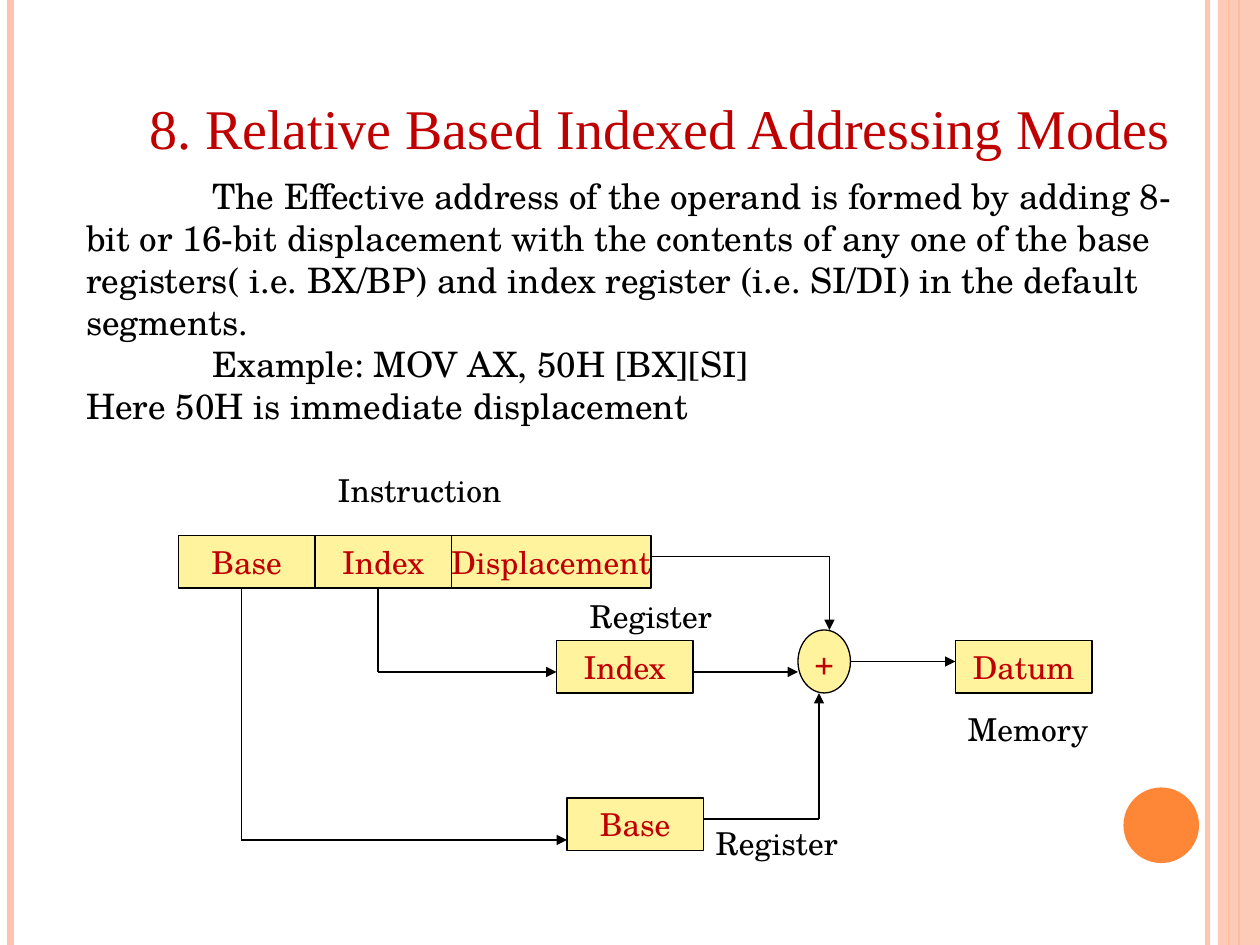
from dataclasses import dataclass
from typing import Optional

from lxml.etree import SubElement
from pptx import Presentation
from pptx.dml.color import RGBColor
from pptx.enum.shapes import MSO_CONNECTOR, MSO_SHAPE
from pptx.enum.text import MSO_ANCHOR, MSO_AUTO_SIZE, PP_ALIGN
from pptx.oxml.ns import qn
from pptx.util import Pt

SERIF = "Times New Roman"
BODY = "TeX Gyre Schola"
BLACK, RED, YELLOW = "000000", "C00000", "FFF39D"
PEACH, ORANGE = "FEC3AE", "FE8637"
BOX_W, BOX_H = 78, 30


@dataclass
class Node:
    text: str
    x: float
    y: float
    w: float = BOX_W
    h: float = BOX_H
    kind: MSO_SHAPE = MSO_SHAPE.RECTANGLE


@dataclass
class Label:
    text: str
    x: float
    y: float


@dataclass
class Stripe:
    x: float
    width: float
    color: str
    alpha: Optional[int] = None


NODES = [
    Node("Base", 102, 306),
    Node("Index", 102 + BOX_W, 306),
    Node("Displacement", 102 + 2 * BOX_W, 306, w=114),
    Node("Index", 318, 366),
    Node("Base", 324, 456),
    Node("Datum", 546, 366),
    Node("+", 456, 360, w=30, h=36, kind=MSO_SHAPE.OVAL),
]
LABELS = [
    Label("Instruction", 193, 269),
    Label("Register", 337, 341),
    Label("Memory", 553, 406),
    Label("Register", 409, 471),
]
ROUTES = [
    [(372, 318), (474, 318), (474, 360)],
    [(216, 336), (216, 384), (318, 384)],
    [(138, 336), (138, 480), (324, 480)],
    [(396, 384), (456, 384)],
    [(402, 468), (468, 468), (468, 396)],
    [(486, 378), (546, 378)],
]
STRIPES = [
    Stripe(690, 3, PEACH, 93),
    Stripe(6, 4.5, PEACH),
    Stripe(708, 1.5, ORANGE),
    Stripe(702, 0.75, ORANGE),
]
PARAGRAPHS = [
    ("The Effective address of the operand is formed by adding 8-bit or 16-bit "
     "displacement with the contents of any one of the base registers( i.e. BX/BP) "
     "and index register (i.e. SI/DI) in the default segments.", 72),
    ("Example: MOV AX, 50H [BX][SI]", 72),
    ("Here 50H is immediate displacement", 0),
]


def rgb(color: str) -> RGBColor:
    return RGBColor.from_string(color)


def set_alpha(fill_parent, percent: int) -> None:
    clr = next(fill_parent.iter(qn("a:srgbClr")))
    SubElement(clr, qn("a:alpha"), val=str(percent * 1000))


def write(p, text: str, *, size=18, font=BODY, color=BLACK,
          align=PP_ALIGN.LEFT, spacing=1.0, margin=0, indent=0) -> None:
    p.alignment = align
    p.line_spacing = spacing
    p.space_before = p.space_after = Pt(0)
    pPr = p._p.get_or_add_pPr()
    pPr.set("marL", str(Pt(margin)))
    pPr.set("indent", str(Pt(indent)))
    SubElement(pPr, qn("a:buNone"))
    r = p.add_run()
    r.text = text
    r.font.size = Pt(size)
    r.font.name = font
    r.font.color.rgb = rgb(color)


def place(sp, x: float, y: float, w: float, h: float) -> None:
    sp.left, sp.top, sp.width, sp.height = Pt(x), Pt(y), Pt(w), Pt(h)
    tf = sp.text_frame
    tf.word_wrap = True
    tf.auto_size = MSO_AUTO_SIZE.NONE
    tf.vertical_anchor = MSO_ANCHOR.TOP


def add_line(s, start, end, *, width=0.75, color=BLACK, arrow=False, alpha=None) -> None:
    cx = s.shapes.add_connector(MSO_CONNECTOR.STRAIGHT, *map(Pt, start + end))
    cx.line.width = Pt(width)
    cx.line.color.rgb = rgb(color)
    ln = cx.line._get_or_add_ln()
    if alpha:
        set_alpha(ln, alpha)
    if arrow:
        SubElement(ln, qn("a:tailEnd"), type="triangle")
    SubElement(cx._element.spPr, qn("a:effectLst"))


def add_shape(s, kind: MSO_SHAPE, x, y, w, h, fill: str, outline=None):
    sp = s.shapes.add_shape(kind, Pt(x), Pt(y), Pt(w), Pt(h))
    sp.shadow.inherit = False
    sp.fill.solid()
    sp.fill.fore_color.rgb = rgb(fill)
    if outline:
        sp.line.color.rgb = rgb(outline)
        sp.line.width = Pt(0.75)
    else:
        sp.line.fill.background()
    return sp


def add_node(s, node: Node) -> None:
    sp = add_shape(s, node.kind, node.x, node.y, node.w, node.h, YELLOW, BLACK)
    tf = sp.text_frame
    tf.word_wrap = False
    tf.vertical_anchor = MSO_ANCHOR.MIDDLE
    write(tf.paragraphs[0], node.text, color=RED, align=PP_ALIGN.CENTER)


def add_label(s, label: Label) -> None:
    tf = s.shapes.add_textbox(Pt(label.x), Pt(label.y), Pt(108), Pt(22)).text_frame
    tf.word_wrap = True
    tf.margin_left = tf.margin_right = tf.margin_top = tf.margin_bottom = 0
    write(tf.paragraphs[0], label.text)


def add_route(s, points) -> None:
    for i, (start, end) in enumerate(zip(points, points[1:])):
        add_line(s, start, end, arrow=i == len(points) - 2)


def add_decoration(s) -> None:
    for st in STRIPES:
        add_line(s, (st.x, 0), (st.x, 540), width=st.width, color=st.color, alpha=st.alpha)
    band = add_shape(s, MSO_SHAPE.RECTANGLE, 696, 0, 24, 540, PEACH)
    set_alpha(band._element.spPr, 87)
    add_shape(s, MSO_SHAPE.OVAL, 642, 450, 43.2, 43.2, ORANGE)


def main() -> None:
    prs = Presentation()
    prs.slide_width, prs.slide_height = Pt(720), Pt(540)
    s = prs.slides.add_slide(prs.slide_layouts[1])
    add_decoration(s)

    title, body = s.placeholders
    place(title, 42, 54, 641.5, 42.5)
    write(title.text_frame.paragraphs[0], "8. Relative Based Indexed Addressing Modes",
          size=32, font=SERIF, color=RED, spacing=0.9, margin=78, indent=-42)

    place(body, 42, 96, 654, 156)
    tf = body.text_frame
    for i, (text, indent) in enumerate(PARAGRAPHS):
        p = tf.add_paragraph() if i else tf.paragraphs[0]
        write(p, text, size=20, indent=indent)

    for node in NODES:
        add_node(s, node)
    for label in LABELS:
        add_label(s, label)
    for route in ROUTES:
        add_route(s, route)
    prs.save("out.pptx")


if __name__ == "__main__":
    main()
